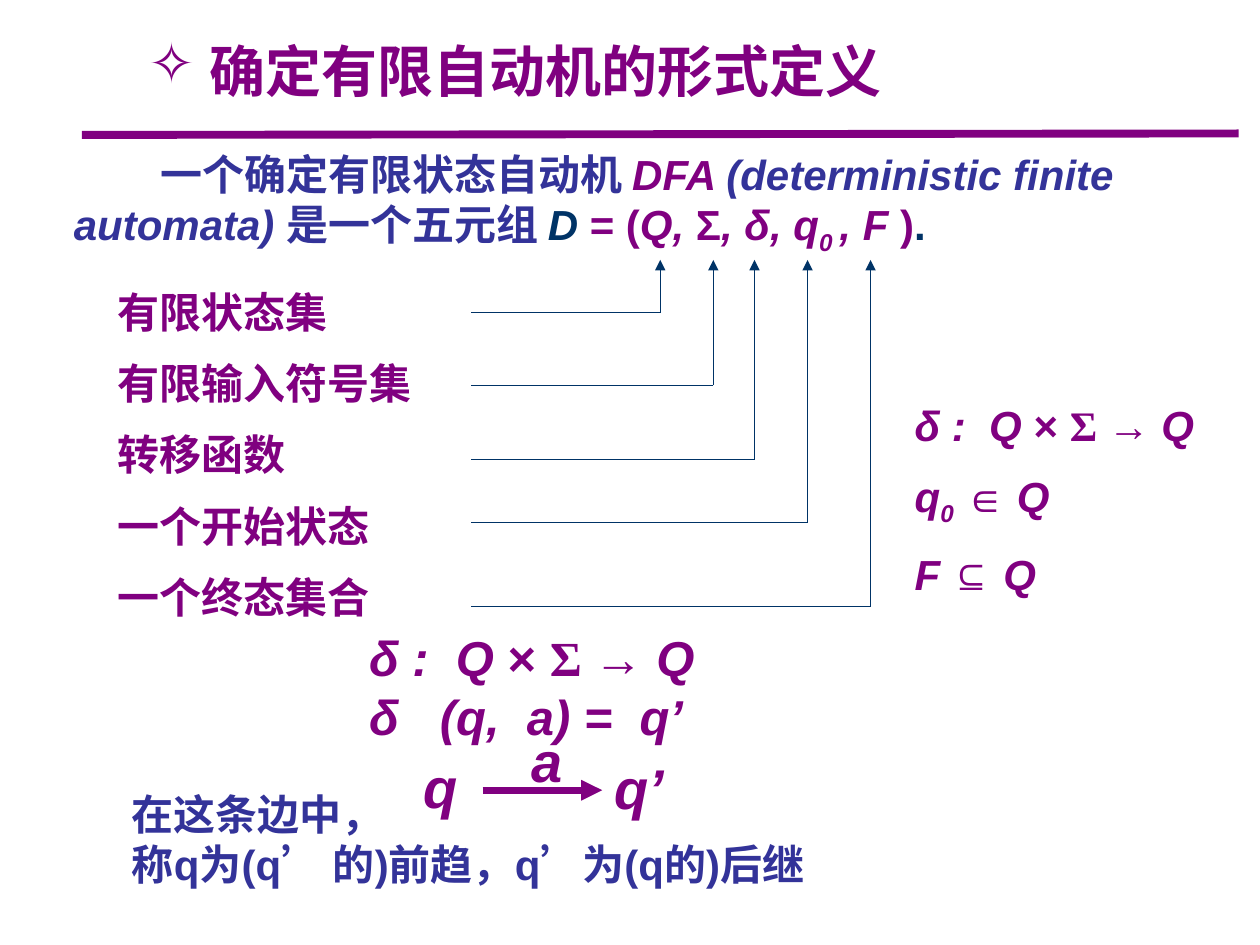
from lxml.etree import SubElement
from pptx import Presentation
from pptx.dml.color import RGBColor
from pptx.enum.shapes import MSO_CONNECTOR
from pptx.enum.text import MSO_ANCHOR, MSO_AUTO_SIZE, PP_ALIGN
from pptx.oxml.ns import qn
from pptx.util import Cm, Pt

PURPLE, INDIGO, NAVY = "800080", "333399", "003366"
LATIN, CJK, SERIF = "Arial", "Noto Sans CJK SC", "Times New Roman"
UPRIGHT = {"italic": False}
SERIF_UPRIGHT = {"italic": False, "font": SERIF}
SUBSCRIPT = {"subscript": True}
MAPPING = [("δ :  Q ", {}), ("× ", UPRIGHT), ("Σ ", SERIF_UPRIGHT),
           ("→ ", UPRIGHT), ("Q", {})]


def rgb(value):
    return RGBColor.from_string(value)


def add_run(paragraph, text, size, color=PURPLE, italic=False, font=LATIN,
            subscript=False):
    run = paragraph.add_run()
    run.text = text
    run.font.size = Pt(size)
    run.font.bold = True
    run.font.italic = italic
    run.font.color.rgb = rgb(color)
    run.font.name = font
    properties = run._r.get_or_add_rPr()
    if any("\u2e80" < character for character in text):
        SubElement(properties, qn("a:ea"), typeface=CJK)
    if subscript:
        properties.set("baseline", "-25000")


def set_indent(paragraph, left=0, first=0):
    properties = paragraph._p.get_or_add_pPr()
    properties.set("marL", str(Cm(left)))
    properties.set("indent", str(Cm(first)))
    return properties


def fill_text(shape, place, paragraphs, size, gap=0, **style):
    """Place a text shape; each paragraph is a list of (text, changes)."""
    shape.left, shape.top, shape.width, shape.height = map(Cm, place)
    frame = shape.text_frame
    frame.word_wrap = True
    frame.auto_size = MSO_AUTO_SIZE.NONE
    frame.vertical_anchor = MSO_ANCHOR.TOP
    for index, runs in enumerate(paragraphs):
        paragraph = frame.add_paragraph() if index else frame.paragraphs[0]
        paragraph.alignment = PP_ALIGN.LEFT
        paragraph.space_before = Pt(gap if index else 0)
        for text, changes in runs:
            add_run(paragraph, text, size, **{**style, **changes})
    return frame.paragraphs


def add_text(slide, place, paragraphs, size, **style):
    box = slide.shapes.add_textbox(*map(Cm, place))
    return fill_text(box, place, paragraphs, size, **style)


def add_line(shapes, start, end, color, width, arrow=False):
    line = shapes.add_connector(MSO_CONNECTOR.STRAIGHT,
                                *map(Cm, (*start, *end)))
    line.line.color.rgb = rgb(color)
    line.line.width = Pt(width)
    if arrow:
        SubElement(line.line._get_or_add_ln(), qn("a:tailEnd"),
                   type="triangle")
    SubElement(line._element.spPr, qn("a:effectLst"))


def add_title(slide):
    paragraph, = fill_text(slide.shapes.title, (2.74, 0.61, 15.8, 1.6),
                           [[("确定有限自动机的形式定义", {})]], 32, font=CJK)
    properties = set_indent(paragraph, 1.22, -1.22)
    bullet_color = SubElement(properties, qn("a:buClr"))
    SubElement(bullet_color, qn("a:srgbClr"), val=PURPLE)
    SubElement(properties, qn("a:buChar"), char="✧")


def add_parts_list(slide):
    names = ["有限状态集", "有限输入符号集", "转移函数", "一个开始状态",
             "一个终态集合"]
    paragraphs = fill_text(slide.placeholders[1], (2.11, 5.64, 7.82, 7.09),
                           [[(name, {})] for name in names], 24, gap=12,
                           font=CJK)
    for paragraph in paragraphs:
        SubElement(set_indent(paragraph), qn("a:buNone"))


def add_definition(slide):
    paragraphs = add_text(slide, (1.24, 2.87, 22.61, 2.31), [
        [("一个确定有限状态自动机 ", {"color": INDIGO, **UPRIGHT}),
         ("DFA ", {}),
         ("(deterministic finite", {"color": INDIGO})],
        [("automata) ", {"color": INDIGO}),
         ("是一个五元组 ", {"color": INDIGO, **UPRIGHT}),
         ("D ", {"color": NAVY}), ("= (", UPRIGHT), ("Q, ", {}),
         ("Σ", UPRIGHT), (", δ, q", {}), ("0 ", SUBSCRIPT), (", F ", {}),
         (")", UPRIGHT), (".", {"color": NAVY, **UPRIGHT})],
    ], 24, italic=True)
    set_indent(paragraphs[0], 0, 1.75)


def add_pointer(slide, x, y):
    """Lead from a part's name up to its symbol in the tuple."""
    group = slide.shapes.add_group_shape()
    add_line(group.shapes, (9.5, y), (x, y), NAVY, 0.75)
    add_line(group.shapes, (x, y), (x, 5.24), NAVY, 0.75, arrow=True)


def add_transition(slide):
    paragraphs = add_text(slide, (7.19, 12.52, 12.7, 2.64),
                          [MAPPING, [("δ\t(q,  a) =  q’", {})]],
                          28, italic=True)
    tabs = SubElement(paragraphs[1]._p.get_or_add_pPr(), qn("a:tabLst"))
    SubElement(tabs, qn("a:tab"), pos=str(Cm(1.43)), algn="l")

    # Edge from q to q’ labelled a
    for text, left, top, width in [("q", 8.28, 15.04, 1.75),
                                   ("q’", 12.14, 15.06, 1.75),
                                   ("a", 10.46, 14.53, 1.14)]:
        add_text(slide, (left, top, width, 1.63), [[(text, {})]], 32,
                 italic=True)
    add_line(slide.shapes, (9.73, 15.93), (12.14, 15.93), PURPLE, 4,
             arrow=True)


def main():
    presentation = Presentation()
    presentation.slide_width, presentation.slide_height = Cm(25.4), Cm(19.05)
    slide = presentation.slides.add_slide(presentation.slide_layouts[1])

    # Heading and rule
    add_title(slide)
    add_line(slide.shapes, (1.65, 2.72), (24.97, 2.69), PURPLE, 4.5)

    # Five-tuple and its parts
    add_parts_list(slide)
    add_definition(slide)
    for x, y in [(13.31, 6.3), (14.38, 7.77), (15.21, 9.27),
                 (16.28, 10.54), (17.55, 12.22)]:
        add_pointer(slide, x, y)

    # Conditions on the parts
    add_text(slide, (18.19, 7.92, 6.15, 4.9), [
        MAPPING,
        [("q", {}), ("0", SUBSCRIPT), (" ∈ ", SERIF_UPRIGHT), ("Q", {})],
        [("F", {}), (" ⊆ ", SERIF_UPRIGHT), ("Q", {})],
    ], 24, gap=12, italic=True)

    # Transition and its reading
    add_transition(slide)
    add_text(slide, (2.41, 15.77, 20.57, 2.31),
             [[("在这条边中，", {})],
              [("称q为(q’ 的)前趋，q’为(q的)后继", {})]],
             24, color=INDIGO)

    presentation.save("out.pptx")


if __name__ == "__main__":
    main()
